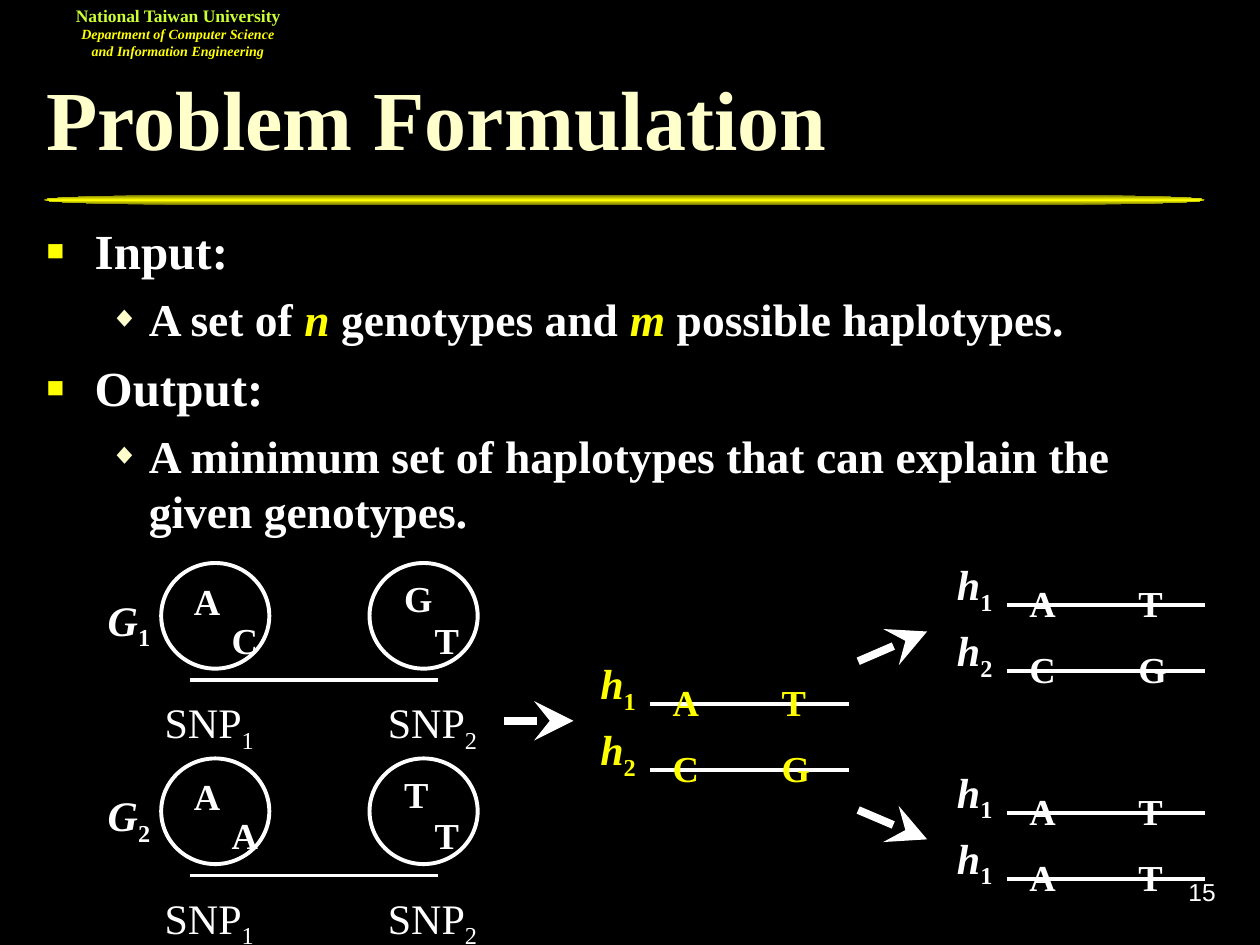
from lxml.etree import SubElement
from pptx import Presentation
from pptx.dml.color import RGBColor
from pptx.enum.shapes import MSO_CONNECTOR, MSO_SHAPE
from pptx.enum.text import MSO_ANCHOR, MSO_AUTO_SIZE, PP_ALIGN
from pptx.oxml.ns import qn
from pptx.util import Cm, Pt

WHITE, YELLOW, CREAM, LIME = "FFFFFF", "FFFF00", "FFFFCC", "CCFF33"
SERIF = "Times New Roman"

HEADER = [
    ("National Taiwan University", 10, LIME, False),
    ("Department of Computer Science and Information Engineering", 8, YELLOW, True),
]
TITLE = "Problem Formulation"
BODY = [
    (0, [("Input:", False)]),
    (1, [("A set of ", False), ("n", True), (" genotypes and ", False),
         ("m", True), (" possible haplotypes.", False)]),
    (0, [("Output:", False)]),
    (1, [("A minimum set of haplotypes that can explain the given genotypes.", False)]),
]
LEVELS = [
    {"size": 28, "before": 7, "left": 0.97, "hang": 0.97,
     "bullet": "■", "color": YELLOW, "percent": 60},
    {"size": 26, "before": 6.5, "left": 2.06, "hang": 0.79,
     "bullet": "◆", "color": CREAM, "percent": 65},
]
HAPLOTYPE_PAIRS = [
    (18.95, 11.13, WHITE, [("1", "AT"), ("2", "CG")]),
    (18.95, 15.32, WHITE, [("1", "AT"), ("1", "AT")]),
    (11.76, 13.13, YELLOW, [("1", "AT"), ("2", "CG")]),
]
GENOTYPES = [(3.25, 11.35, "1", "ACGT"), (3.25, 15.29, "2", "AATT")]
ALLELE_PLACES = [(0.41, -0.53, 0.61), (1.17, 0.25, 0.61),
                 (4.65, -0.58, 0.86), (5.26, 0.25, 0.79)]
ARROWS = [(10.16, 14.53, 11.56, 14.53), (17.3, 13.33, 18.69, 12.73),
          (17.3, 16.33, 18.69, 16.92)]


def rgb(value):
    return RGBColor.from_string(value)


def add_run(paragraph, text, size, color=WHITE, bold=True, italic=False,
            subscript=False, font=SERIF):
    run = paragraph.add_run()
    run.text = text
    run.font.name = font
    run.font.size = Pt(size)
    run.font.bold = bold
    run.font.italic = italic
    run.font.color.rgb = rgb(color)
    if subscript:
        run._r.get_or_add_rPr().set("baseline", "-25000")


def format_frame(frame, insets=(0.25, 0.13, 0.25, 0.13), anchor=MSO_ANCHOR.TOP,
                 wrap=True, grow=True):
    frame.margin_left, frame.margin_top, frame.margin_right, frame.margin_bottom = map(Cm, insets)
    frame.vertical_anchor = anchor
    frame.word_wrap = wrap
    frame.auto_size = MSO_AUTO_SIZE.SHAPE_TO_FIT_TEXT if grow else MSO_AUTO_SIZE.NONE


def add_text(shapes, place, align, **options):
    frame = shapes.add_textbox(*map(Cm, place)).text_frame
    format_frame(frame, **options)
    frame.paragraphs[0].alignment = align
    return frame


def add_label(shapes, place, name, index, align=PP_ALIGN.CENTER, color=WHITE,
              bold=True, italic=True, wrap=True):
    paragraph = add_text(shapes, place, align, wrap=wrap).paragraphs[0]
    add_run(paragraph, name, 24, color, bold, italic)
    add_run(paragraph, index, 24, color, bold, subscript=True)


def add_allele(shapes, place, letter, color=WHITE, **options):
    frame = add_text(shapes, place, PP_ALIGN.RIGHT, **options)
    add_run(frame.paragraphs[0], letter, 36, color, subscript=True)


def add_line(shapes, ends, width=2.25):
    line = shapes.add_connector(MSO_CONNECTOR.STRAIGHT, *map(Cm, ends))
    line.line.color.rgb = rgb(WHITE)
    line.line.width = Pt(width)
    SubElement(line._element.spPr, qn("a:effectLst"))
    return line


def add_haplotypes(slide, left, top, color, rows):
    shapes = slide.shapes.add_group_shape().shapes
    for row, (index, letters) in enumerate(rows):
        y = top + 1.33 * row
        add_line(shapes, (left + 1.35, y + 1.07, left + 5.35, y + 1.07))
        for column, letter in enumerate(letters):
            add_allele(shapes, (left + 1.55 + 2.2 * column, y - 0.4, 0.81, 2.01), letter, color)
        add_label(shapes, (left, y, 1.4, 1.42), "h", index, color=color)


def add_genotype(slide, left, top, index, letters):
    shapes = slide.shapes.add_group_shape().shapes
    add_label(shapes, (left - 1.35, top + 0.5, 1.4, 1.42), "G", index)
    for column in range(2):
        x = left + 4.2 * column
        circle = shapes.add_shape(MSO_SHAPE.OVAL, *map(Cm, (x, top, 2.18, 2.13)))
        circle.shadow.inherit = False
        circle.fill.background()
        circle.line.color.rgb = rgb(WHITE)
        circle.line.width = Pt(2.25)
        add_label(shapes, (left - 0.18 + 4.5 * column, top + 2.57, 2.31, 1.42), "SNP",
                  str(column + 1), PP_ALIGN.LEFT, bold=False, italic=False, wrap=False)
    add_line(shapes, (left + 0.58, top + 2.36, left + 5.58, top + 2.36))
    for letter, (x, y, width) in zip(letters, ALLELE_PLACES):
        add_allele(shapes, (left + x, top + y, width, 2.24), letter,
                   insets=(0.25, 0, 0.25, 0.51), anchor=MSO_ANCHOR.MIDDLE)


def place_shape(shape, place):
    shape.left, shape.top, shape.width, shape.height = map(Cm, place)


def add_bullet(paragraph, level):
    properties = paragraph._p.get_or_add_pPr()
    properties.set("marL", str(Cm(level["left"])))
    properties.set("indent", str(-Cm(level["hang"])))
    color = SubElement(properties, qn("a:buClr"))
    SubElement(color, qn("a:srgbClr"), val=level["color"])
    SubElement(properties, qn("a:buSzPct"), val=str(level["percent"] * 1000))
    SubElement(properties, qn("a:buChar"), char=level["bullet"])


def add_rule(slide):
    rule = slide.shapes.add_shape(MSO_SHAPE.FLOWCHART_TERMINATOR, *map(Cm, (0.89, 3.93, 23.4, 0.2)))
    rule.shadow.inherit = False
    rule.line.fill.background()
    rule.fill.gradient()
    for stop, color in zip(rule.fill.gradient_stops, (YELLOW, "767600")):
        stop.color.rgb = rgb(color)
    gradient = rule._element.spPr.find(qn("a:gradFill"))
    gradient.remove(gradient.find(qn("a:lin")))
    center = SubElement(gradient, qn("a:path"), path="rect")
    SubElement(center, qn("a:fillToRect"), l="50000", t="50000", r="50000", b="50000")


def fill_placeholders(slide):
    title, body = slide.shapes.title, slide.placeholders[1]
    place_shape(title, (0.69, 1.32, 24.08, 2.59))
    format_frame(title.text_frame, anchor=MSO_ANCHOR.MIDDLE, grow=False)
    paragraph = title.text_frame.paragraphs[0]
    paragraph.alignment = PP_ALIGN.LEFT
    paragraph.line_spacing = 0.7
    add_run(paragraph, TITLE, 48, CREAM)

    place_shape(body, (0.69, 4.32, 24.08, 12.6))
    frame = body.text_frame
    format_frame(frame, grow=False)
    for number, (depth, runs) in enumerate(BODY):
        level = LEVELS[depth]
        paragraph = frame.add_paragraph() if number else frame.paragraphs[0]
        paragraph.level = depth
        add_bullet(paragraph, level)
        paragraph.space_before = Pt(level["before"] if number else 0)
        for text, variable in runs:
            add_run(paragraph, text, level["size"], YELLOW if variable else WHITE, italic=variable)


def main():
    presentation = Presentation()
    presentation.slide_width, presentation.slide_height = Cm(25.4), Cm(19.05)
    slide = presentation.slides.add_slide(presentation.slide_layouts[1])
    slide.background.fill.solid()
    slide.background.fill.fore_color.rgb = rgb("000000")
    fill_placeholders(slide)
    add_rule(slide)

    header = add_text(slide.shapes, (1.09, -0.08, 5, 1.45), PP_ALIGN.CENTER,
                      insets=(0.33, 0.18, 0.33, 0.18))
    for number, (text, size, color, italic) in enumerate(HEADER):
        paragraph = header.add_paragraph() if number else header.paragraphs[0]
        paragraph.alignment = PP_ALIGN.CENTER
        add_run(paragraph, text, size, color, italic=italic)

    page = add_text(slide.shapes, (19.48, 17.35, 5.28, 1.27), PP_ALIGN.RIGHT,
                    anchor=MSO_ANCHOR.MIDDLE, grow=False)
    add_run(page.paragraphs[0], "15", 14, bold=False, font="Arial")

    for pair in HAPLOTYPE_PAIRS:
        add_haplotypes(slide, *pair)
    for genotype in GENOTYPES:
        add_genotype(slide, *genotype)
    for ends in ARROWS:
        arrow = add_line(slide.shapes, ends, 4.5)
        SubElement(arrow.line._get_or_add_ln(), qn("a:tailEnd"), type="stealth", w="lg", len="lg")
    presentation.save("out.pptx")


if __name__ == "__main__":
    main()
